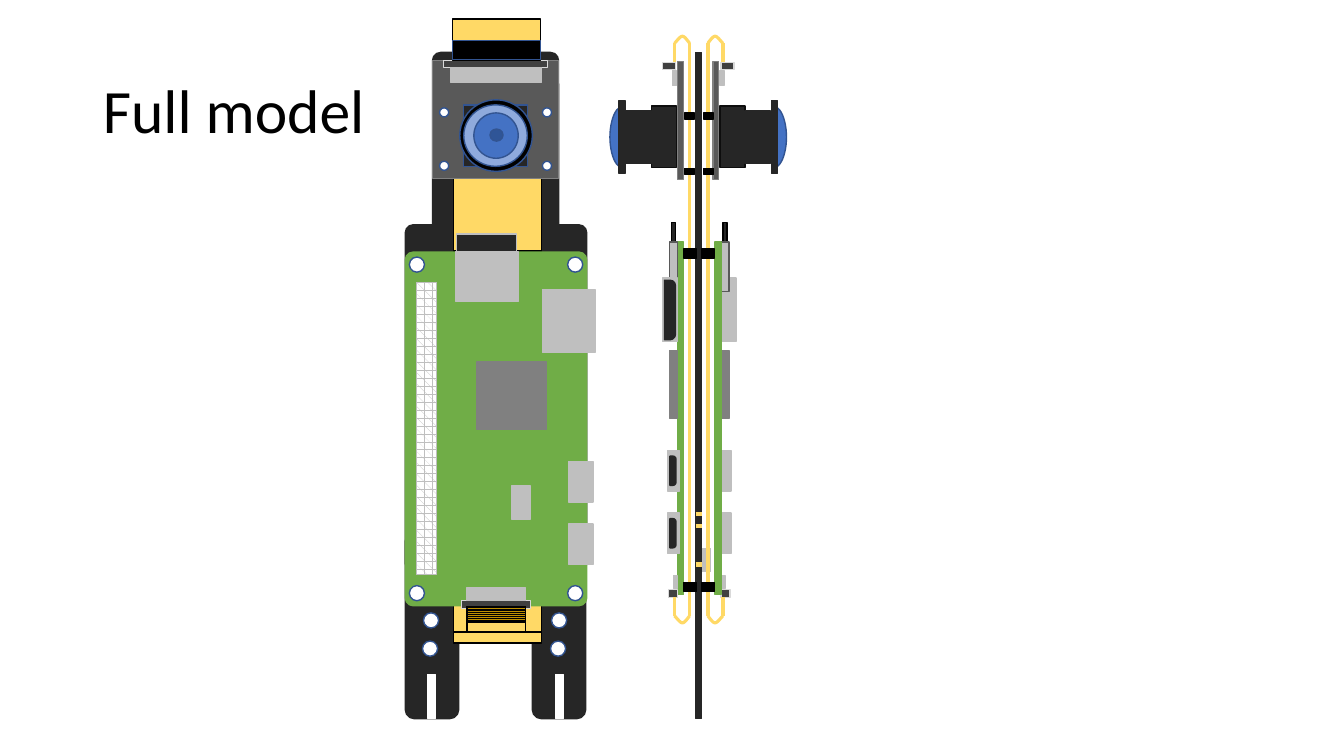
from itertools import product
from pptx import Presentation
from pptx.dml.color import RGBColor
from pptx.enum.dml import MSO_PATTERN as PAT
from pptx.enum.shapes import MSO_CONNECTOR, MSO_SHAPE as S
from pptx.enum.text import MSO_ANCHOR, PP_ALIGN
from pptx.oxml import parse_xml
from pptx.oxml.ns import nsdecls
from pptx.util import Inches, Pt

YELLOW = "FFD966"
STYLES = {
    "plate": (S.ROUNDED_RECTANGLE, "262626", "262626"),
    "pcb": (S.ROUNDED_RECTANGLE, "70AD47", "70AD47"),
    "edge": (S.RECTANGLE, "70AD47", "70AD47"),
    "slot": (S.RECTANGLE, "FFFFFF", "FFFFFF"),
    "hole": (S.OVAL, "FFFFFF", "325491"),
    "ribbon": (S.RECTANGLE, YELLOW, "000000"),
    "card": (S.RECTANGLE, "262626", "BFBFBF"),
    "chip": (S.RECTANGLE, "808080", "808080"),
    "metal": (S.RECTANGLE, "BFBFBF", "BFBFBF"),
    "holder": (S.RECTANGLE, "BFBFBF", "595959"),
    "latch": (S.RECTANGLE, "404040", "D9D9D9"),
    "pins": (S.RECTANGLE, (PAT.PLAID, "BFBFBF", "FFFFFF"), "BFBFBF"),
    "contacts": (S.RECTANGLE, (PAT.LIGHT_HORIZONTAL, "000000", "BF9000"), "000000"),
    "stiffener": (S.RECTANGLE, (PAT.DARK_HORIZONTAL, "000000", "BF9000"), "325491"),
    "camera": (S.RECTANGLE, "595959", "808080"),
    "mount": (S.RECTANGLE, "262626", "325491"),
    "barrel": (S.RECTANGLE, "262626", "0D0D0D"),
    "dark": (S.RECTANGLE, "262626", "262626"),
    "sd": (S.RECTANGLE, "262626", "000000"),
    "standoff": (S.RECTANGLE, "000000", "000000"),
    "rim": (S.OVAL, "000000", "325491"),
    "glass": (S.OVAL, "8FAADC", "325491"),
    "iris": (S.OVAL, "4472C4", "325491"),
    "pupil": (S.OVAL, "2F5597", "325491"),
    "lens": (S.FLOWCHART_DIRECT_ACCESS_STORAGE, "4472C4", "325491"),
    "port": (S.ROUND_2_SAME_RECTANGLE, "262626", "262626"),
}

# style, width, height, lefts, tops
FRONT = [
    ("plate", 0.53, 1.85, (4.02, 5.28), (5.28,)),
    ("plate", 1.25, 2.31, (4.29,), (0.52,)),
    ("plate", 1.8, 3.44, (4.02,), (2.23,)),
    ("slot", 0.08, 0.44, (4.24, 5.51), (6.69,)),
    ("hole", 0.15, 0.15, (4.2, 5.47), (6.08,)),
    ("hole", 0.15, 0.15, (4.19, 5.46), (6.36,)),
    ("ribbon", 0.87, 0.72, (4.5,), (5.56, 1.77)),
    ("card", 0.59, 0.46, (4.53,), (2.32,)),
    ("pcb", 1.8, 3.51, (4.02,), (2.5,)),
    ("chip", 0.69, 0.67, (4.73,), (3.59,)),
    ("pins", 0.2, 2.9, (4.13,), (2.8,)),
    ("metal", 0.19, 0.33, (5.07,), (4.82,)),
    ("latch", 0.68, 0.08, (4.58,), (5.96,)),
    ("metal", 0.58, 0.13, (4.63,), (5.83,)),
    ("metal", 0.24, 0.4, (5.64,), (4.58, 5.2)),
    ("metal", 0.52, 0.63, (5.38,), (2.87,)),
    ("metal", 0.62, 0.49, (4.52,), (2.5,)),
    ("hole", 0.15, 0.15, (4.06, 5.63), (2.55, 5.81)),
    ("camera", 1.25, 1.17, (4.29,), (0.6,)),
    ("mount", 0.63, 0.61, (4.6,), (1.04,)),
    ("rim", 0.72, 0.71, (4.56,), (0.99,)),
    ("glass", 0.63, 0.61, (4.6,), (1.04,)),
    ("iris", 0.44, 0.45, (4.7,), (1.12,)),
    ("pupil", 0.13, 0.12, (4.86,), (1.28,)),
    ("latch", 1.03, 0.07, (4.4,), (0.6,)),
    ("metal", 0.9, 0.15, (4.47,), (0.67,)),
    ("hole", 0.09, 0.09, (4.36, 5.38), (1.07, 1.6)),
    ("ribbon", 0.87, 0.41, (4.49,), (0.19,)),
    ("stiffener", 0.87, 0.19, (4.49,), (0.4,)),
    ("ribbon", 0.58, 0.36, (4.63,), (6.02,)),
    ("ribbon", 0.87, 0.11, (4.5,), (6.27,)),
    ("contacts", 0.58, 0.15, (4.63,), (6.02,)),
]
LENS = [("lens", 0.8, 0.62, (6.05,), (1.05,)), ("slot", 0.7, 0.76, (6.17,), (0.98,))]
SPINE = [("metal", 0.09, 0.23, (6.96,), (5.44,)), ("dark", 0.06, 6.61, (6.9,), (0.52,))]
SD_CARD = [("sd", 0.04, 0.46, (6.66,), (2.21,))]
BOARD = [
    ("edge", 0.06, 3.5, (6.72,), (2.4,)),
    ("chip", 0.08, 0.67, (6.64,), (3.48,)),
    ("metal", 0.12, 0.4, (6.62,), (4.47, 5.09)),
    ("latch", 0.09, 0.08, (6.63,), (5.85,)),
    ("metal", 0.04, 0.13, (6.68,), (5.71,)),
    ("holder", 0.08, 0.49, (6.64,), (2.4,)),
    ("metal", 0.15, 0.63, (6.57,), (2.76,)),
]
PORTS = [("port", 0.29, 0.06, (6.53,), (4.64, 5.26)), ("port", 0.59, 0.11, (6.35,), (3.02,))]
CAMERA = [
    ("camera", 0.06, 1.17, (6.72,), (0.61,)),
    ("latch", 0.13, 0.07, (6.57,), (0.62,)),
    ("metal", 0.04, 0.15, (6.67,), (0.7,)),
    ("barrel", 0.25, 0.61, (6.46,), (1.05,)),
    ("dark", 0.25, 0.52, (6.21,), (1.1,)),
    ("dark", 0.06, 0.72, (6.14,), (1,)),
]
STANDOFFS = [
    ("standoff", 0.1, 0.06, (6.79,), (1.12, 1.67)),
    ("standoff", 0.13, 0.09, (6.78,), (2.47, 5.78)),
]
BOARD_AXIS, CAMERA_AXIS, CABLE_AXIS = 6.935, 6.925, 6.93
CABLE = [(6.84, 6.11, 6.84, 0.43), (6.69, 0.62, 6.69, 0.43), (6.69, 6.11, 6.69, 5.92)]
CABLE_BENDS = [(6.69, 6.84, 0.43, -0.07), (6.69, 6.84, 6.11, 0.07)]
BEND = [[(0, 0), (0.2, 0.45), (0.38, 1), (0.52, 1)], [(0.52, 1), (0.68, 1), (0.92, 0.2), (1, 0)]]


def rgb(value):
    return RGBColor.from_string(value)


def mirror(parts, axis):
    return [(style, w, h, [2 * axis - x - w for x in xs], ys) for style, w, h, xs, ys in parts]


def draw(shapes, parts, turn=0):
    for style, w, h, xs, ys in parts:
        preset, fill, line = STYLES[style]
        for x, y in product(xs, ys):
            s = shapes.add_shape(preset, *map(Inches, (x, y, w, h)))
            s.shadow.inherit = False
            s.rotation = turn
            if isinstance(fill, tuple):
                s.fill.patterned()
                s.fill.pattern = fill[0]
                s.fill.fore_color.rgb, s.fill.back_color.rgb = map(rgb, fill[1:])
            else:
                s.fill.solid()
                s.fill.fore_color.rgb = rgb(fill)
            s.line.color.rgb = rgb(line)
            s.line.width = Pt(1)
            if preset == S.ROUNDED_RECTANGLE:
                s.adjustments[0] = 0.08 / w if w > 1 else 0.09 / w
            elif style == "port":
                s.adjustments[0], s.adjustments[1] = 0, 0.5


def wire(shapes, x1, y1, x2, y2, width=2.5):
    c = shapes.add_connector(MSO_CONNECTOR.STRAIGHT, *map(Inches, (x1, y1, x2, y2)))
    c.line.color.rgb = rgb(YELLOW)
    c.line.width = Pt(width)
    c._element.spPr.append(parse_xml(f"<a:effectLst {nsdecls('a')}/>"))


def bend(shapes, x1, x2, y, rise, steps=8):
    points = []
    for curve in BEND:
        for t in (i / steps for i in range(steps + 1)):
            weights = ((1 - t) ** 3, 3 * t * (1 - t) ** 2, 3 * t * t * (1 - t), t ** 3)
            u, v = (sum(k * p[n] for k, p in zip(weights, curve)) for n in (0, 1))
            points.append((Inches(x1 + u * (x2 - x1)), Inches(y + v * rise)))
    builder = shapes.build_freeform(*points[0])
    builder.add_line_segments(points[1:], close=False)
    s = builder.convert_to_shape()
    s.shadow.inherit = False
    s.fill.background()
    s.line.color.rgb = rgb(YELLOW)
    s.line.width = Pt(2.25)


prs = Presentation()
prs.slide_width, prs.slide_height = Inches(13.33), Inches(7.5)
slide = prs.slides.add_slide(prs.slide_layouts[5])

title = slide.shapes.title
for name, value in dict(left=0.92, top=0.4, width=11.5, height=1.45).items():
    setattr(title, name, Inches(value))
tf = title.text_frame
tf.text = "Full model"
tf.vertical_anchor = MSO_ANCHOR.MIDDLE
p = tf.paragraphs[0]
p.alignment, p.line_spacing = PP_ALIGN.LEFT, 0.9
for name, value in dict(name="Calibri", size=Pt(44)).items():
    setattr(p.runs[0].font, name, value)
p.runs[0].font.color.rgb = rgb("000000")

front = slide.shapes.add_group_shape().shapes
draw(front, FRONT)

side = slide.shapes.add_group_shape().shapes
draw(side, LENS)
draw(side, mirror(LENS, CAMERA_AXIS), 180)
draw(side, SPINE)
for y in (5.1, 5.22, 5.6):
    wire(side, 6.9, y, 6.96, y, 3)
draw(side, mirror(SD_CARD, BOARD_AXIS) + mirror(BOARD, BOARD_AXIS)[::-1])
draw(side, SD_CARD + BOARD)
draw(side, PORTS, 270)
draw(side, mirror(CAMERA, CAMERA_AXIS) + CAMERA)
for x1, y1, x2, y2 in CABLE:
    wire(side, x1, y1, x2, y2)
    wire(side, 2 * CABLE_AXIS - x1, y1, 2 * CABLE_AXIS - x2, y2)
for x1, x2, y, rise in CABLE_BENDS:
    bend(side, x1, x2, y, rise)
    bend(side, 2 * CABLE_AXIS - x1, 2 * CABLE_AXIS - x2, y, rise)
draw(side, STANDOFFS + mirror(STANDOFFS, BOARD_AXIS))

prs.save("out.pptx")
